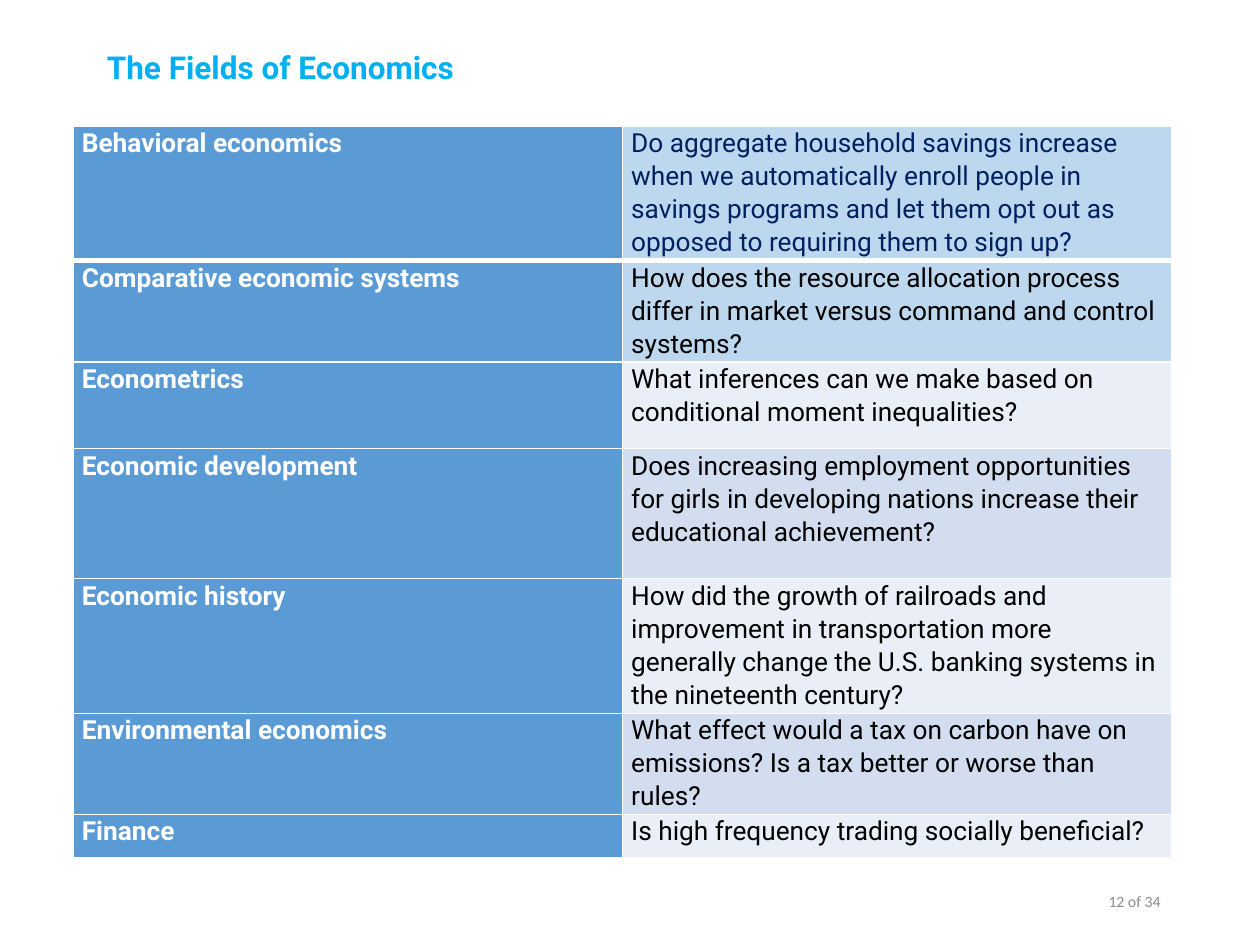
from lxml import etree
from pptx import Presentation
from pptx.dml.color import RGBColor
from pptx.enum.text import MSO_ANCHOR, PP_ALIGN
from pptx.oxml.ns import qn
from pptx.util import Inches, Pt

TOP, MIDDLE = MSO_ANCHOR.TOP, MSO_ANCHOR.MIDDLE
LEFT, RIGHT = PP_ALIGN.LEFT, PP_ALIGN.RIGHT

WHITE = RGBColor(0xFF, 0xFF, 0xFF)
BLACK = RGBColor(0x00, 0x00, 0x00)
GREY = RGBColor(0x8C, 0x8C, 0x8C)
NAVY = RGBColor(0x00, 0x20, 0x60)
CYAN = RGBColor(0x00, 0xB0, 0xF0)
BLUE = RGBColor(0x5B, 0x9B, 0xD5)
SKY = RGBColor(0xBD, 0xD7, 0xEE)
PALE = RGBColor(0xEA, 0xEF, 0xF7)
MIST = RGBColor(0xD2, 0xDE, 0xEF)

LINE_HEIGHT = 0.344  # one row unit of the table, in inches
COLUMN_WIDTH = 4.36

# field, question, row units, question fill, question colour
FIELDS = [
    ("Behavioral economics",
     "Do aggregate household savings increase when we automatically enroll people "
     "in savings programs and let them opt out as opposed to requiring them to sign up?",
     3, SKY, NAVY),
    ("Comparative economic systems",
     "How does the resource allocation process differ in market versus command "
     "and control systems?",
     2, SKY, BLACK),
    ("Econometrics",
     "What inferences can we make based on conditional moment inequalities?",
     2, PALE, BLACK),
    ("Economic development",
     "Does increasing employment opportunities for girls in developing nations "
     "increase their educational achievement?",
     3, MIST, BLACK),
    ("Economic history",
     "How did the growth of railroads and improvement in transportation more "
     "generally change the U.S. banking systems in the nineteenth century?",
     3, PALE, BLACK),
    ("Environmental economics",
     "What effect would a tax on carbon have on emissions? Is a tax better or "
     "worse than rules?",
     2, MIST, BLACK),
    ("Finance", "Is high frequency trading socially beneficial?", 1, PALE, BLACK),
]


def style_font(font, name, size, color, bold=False):
    font.name = name
    font.size = Pt(size)
    font.bold = bold
    font.color.rgb = color


def add_label(page, area, text, font, align=LEFT, anchor=TOP):
    box = page.shapes.add_textbox(*(Inches(length) for length in area))
    frame = box.text_frame
    frame.word_wrap = True
    frame.vertical_anchor = anchor
    frame.text = text
    para = frame.paragraphs[0]
    para.alignment = align
    style_font(para.runs[0].font, *font)


def set_borders(cell, bottom):
    """Draw white cell borders, 1 pt wide except for the given bottom width."""
    properties = cell._tc.get_or_add_tcPr()
    widths = {"a:lnL": 1, "a:lnR": 1, "a:lnT": 1, "a:lnB": bottom}
    for index, (tag, width) in enumerate(widths.items()):
        line = etree.Element(qn(tag), w=str(Pt(width)))
        fill = etree.SubElement(line, qn("a:solidFill"))
        etree.SubElement(fill, qn("a:srgbClr"), val=str(WHITE))
        properties.insert(index, line)


def fill_cell(cell, text, fill, color, bold, bottom):
    cell.margin_left = cell.margin_right = Inches(0.07)
    cell.margin_top = cell.margin_bottom = 0
    cell.fill.solid()
    cell.fill.fore_color.rgb = fill
    set_borders(cell, bottom)
    cell.text_frame.text = text
    para = cell.text_frame.paragraphs[0]
    para.line_spacing = 1.07
    style_font(para.runs[0].font, "Roboto", 15, color, bold)


def add_fields_table(page):
    units = sum(field[2] for field in FIELDS)
    table = page.shapes.add_table(
        len(FIELDS), 2, Inches(0.58), Inches(1),
        Inches(2 * COLUMN_WIDTH), Inches(units * LINE_HEIGHT)).table
    for column in table.columns:
        column.width = Inches(COLUMN_WIDTH)
    for index, (name, question, height, fill, color) in enumerate(FIELDS):
        table.rows[index].height = Inches(height * LINE_HEIGHT)
        bottom = 3 if index == 0 else 1
        fill_cell(table.cell(index, 0), name, BLUE, WHITE, True, bottom)
        fill_cell(table.cell(index, 1), question, fill, color, False, bottom)


def main():
    deck = Presentation()
    deck.slide_width, deck.slide_height = Inches(10), Inches(7.5)
    page = deck.slides.add_slide(deck.slide_layouts[6])
    add_label(page, (7.06, 6.95, 2.25, 0.4), "12 of 34",
              ("Calibri", 9, GREY), RIGHT, MIDDLE)
    add_label(page, (0.75, 0.33, 8.75, 0.4), "The Fields of Economics",
              ("Roboto", 18, CYAN, True))
    add_fields_table(page)
    deck.save("out.pptx")


if __name__ == "__main__":
    main()
